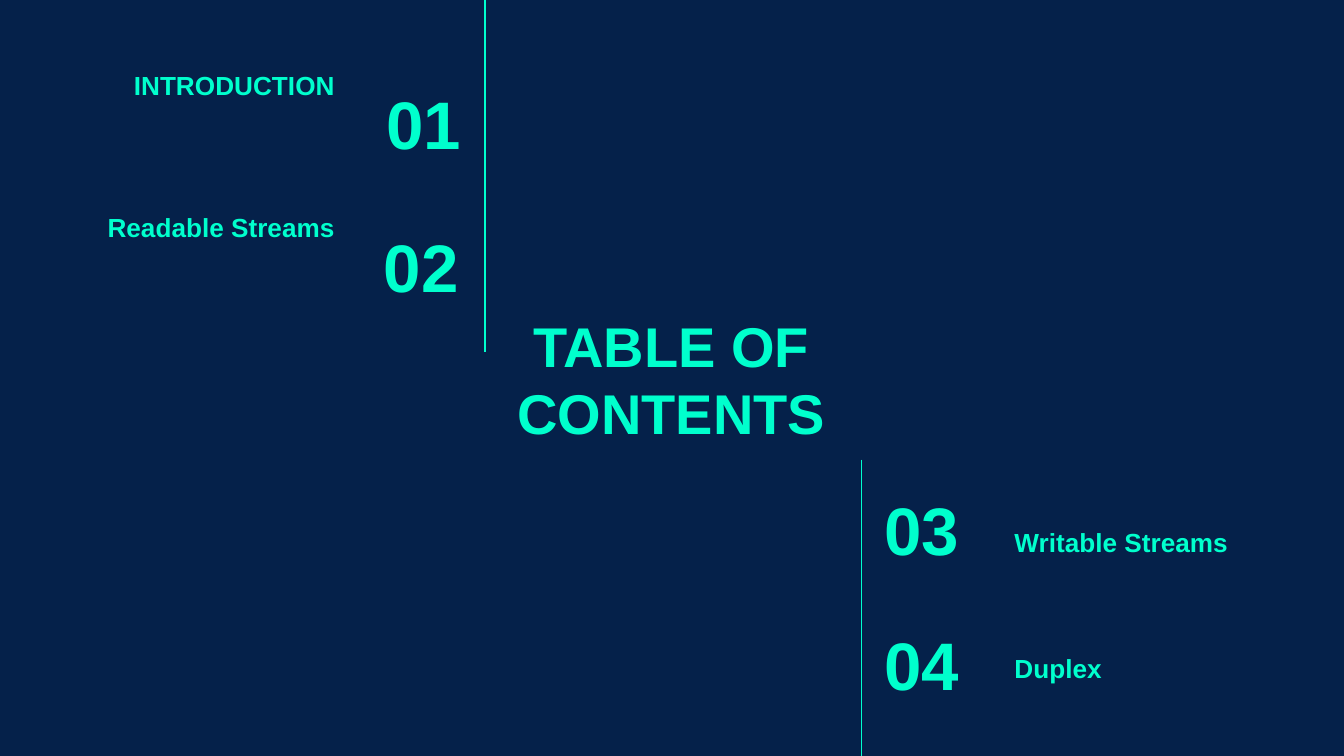
from pptx import Presentation
from pptx.dml.color import RGBColor as RGB
from pptx.enum.shapes import MSO_CONNECTOR as Conn
from pptx.enum.text import MSO_ANCHOR as Anchor, MSO_AUTO_SIZE as Fit, PP_ALIGN as Align
from pptx.oxml.ns import qn
from pptx.util import Inches, Pt
from lxml import etree

MINT = "00FFCD"
NAVY = "05214A"


def paint(fill, hue):
    fill.solid()
    fill.fore_color.rgb = RGB.from_string(hue)


def write(text, box, size, align=Align.LEFT, anchor=Anchor.MIDDLE, shape=None):
    if shape is None:
        shape = slide.shapes.add_textbox(0, 0, 0, 0)
    shape.left, shape.top, shape.width, shape.height = map(Inches, box)
    frame = shape.text_frame
    frame.word_wrap = True
    frame.auto_size = Fit.NONE
    frame.vertical_anchor = anchor
    frame.margin_left = frame.margin_right = Inches(0.1)
    frame.margin_top = frame.margin_bottom = Inches(0.1)
    frame.text = text
    para = frame.paragraphs[0]
    para.alignment = align
    font = para.runs[0].font
    font.name, font.size, font.bold = "Arial", Pt(size), True
    paint(font.fill, MINT)


deck = Presentation()
deck.slide_width, deck.slide_height = Inches(10), Inches(10 * 9 / 16)
slide = deck.slides.add_slide(deck.slide_layouts[5])
paint(slide.background.fill, NAVY)

write("TABLE OF CONTENTS", (3.7, 2.3, 2.59, 1.03), 30,
      align=Align.CENTER, shape=slide.shapes.title)

items = [
    ("01", 2.32, 0.6, 1.21, "INTRODUCTION", 0.43, 0.22, Align.RIGHT),
    ("02", 2.3, 1.66, 1.21, "Readable Streams", 0.43, 1.28, Align.RIGHT),
    ("03", 6.48, 3.62, 1.17, "Writable Streams", 7.45, 3.62, Align.LEFT),
    ("04", 6.48, 4.62, 1.17, "Duplex", 7.45, 4.56, Align.LEFT),
]
for num, num_x, num_y, width, name, x, y, side in items:
    write(num, (num_x, num_y, width, 0.63), 36, align=side)
    write(name, (x, y, 2.16, 0.63), 14, align=side, anchor=Anchor.BOTTOM)

for x, top, end in [(3.61, 0, 2.62), (6.41, 3.42, 5.64)]:
    rule = slide.shapes.add_connector(
        Conn.STRAIGHT, Inches(x), Inches(top), Inches(x), Inches(end))
    rule.line.width = Pt(0.75)
    paint(rule.line.fill, MINT)
    etree.SubElement(rule._element.spPr, qn("a:effectLst"))

deck.save("out.pptx")
